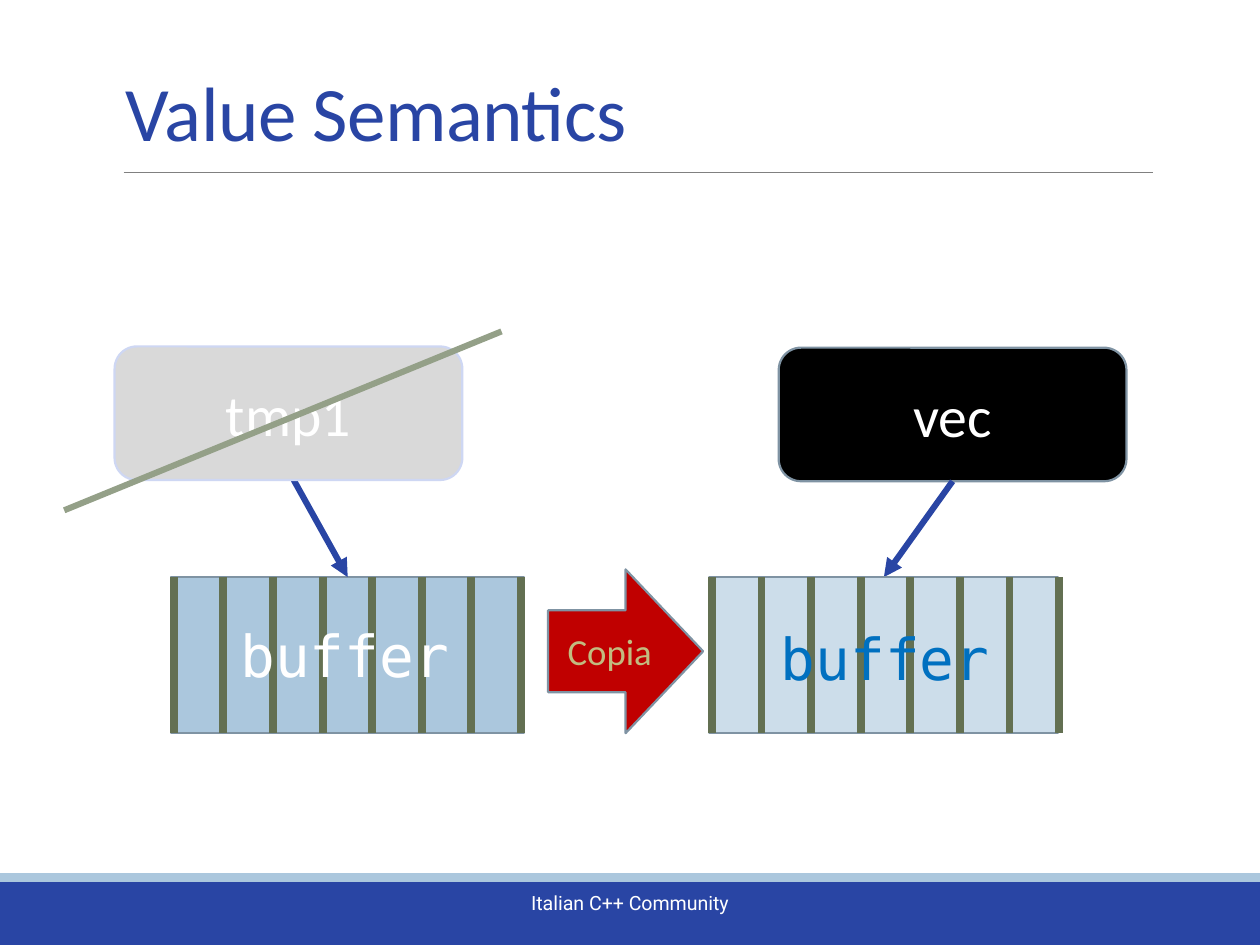
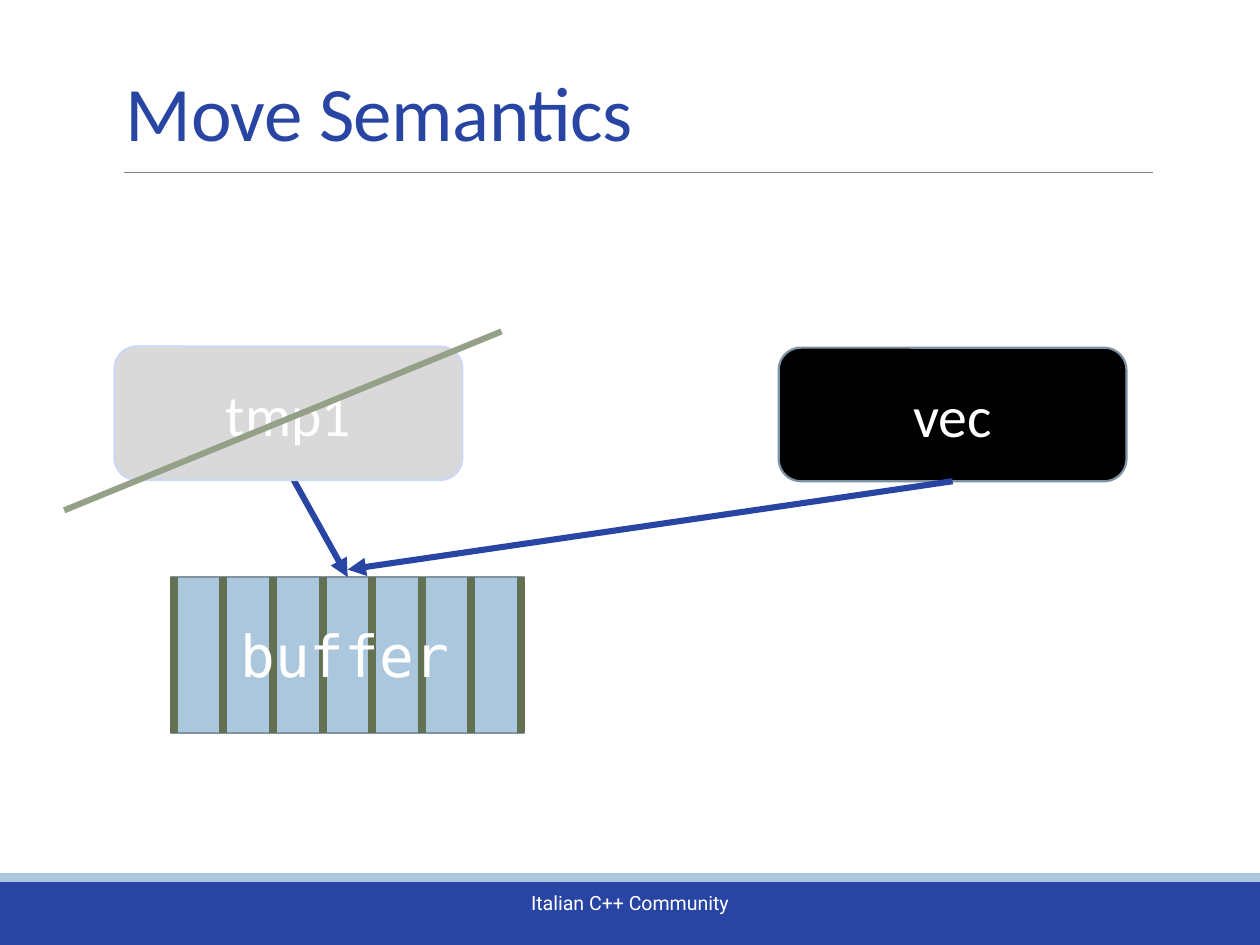
from lxml import etree
from pptx import Presentation
from pptx import util as u
from pptx.dml.color import RGBColor
from pptx.enum import shapes, text
from pptx.oxml import ns

BLUE = RGBColor(0x29, 0x45, 0xA4)
LIGHT_BLUE = RGBColor(0xAB, 0xC7, 0xDD)
PALE_BLUE = RGBColor(0xCC, 0xDD, 0xEA)
LABEL_BLUE = RGBColor(0x00, 0x70, 0xC0)
OUTLINE = RGBColor(0x7F, 0x93, 0xA3)
FADED_OUTLINE = RGBColor(0xCE, 0xD7, 0xF3)
FADED_GRAY = RGBColor(0xD9, 0xD9, 0xD9)
RULE_GRAY = RGBColor(0x80, 0x80, 0x80)
STRIPE_GREEN = RGBColor(0x63, 0x70, 0x52)
STRIKE_GREEN = RGBColor(0x94, 0xA0, 0x88)
RED = RGBColor(0xC0, 0x00, 0x00)
SAND = RGBColor(0xC2, 0xBC, 0x80)
BLACK = RGBColor(0x00, 0x00, 0x00)
WHITE = RGBColor(0xFF, 0xFF, 0xFF)

WIDTH, HEIGHT = 720, 540
TITLE_FONT = {"name": "Calibri", "size": u.Pt(44)}
OBJECT_FONT = {"name": "Calibri", "size": u.Pt(33)}
COPY_FONT = {"name": "Calibri", "size": u.Pt(21)}
BUFFER_FONT = {"name": "DejaVu Sans Mono", "size": u.Pt(33)}
FOOTER_FONT = {"name": "Roboto", "size": u.Pt(11.2)}

# Boxes are (left, top, width, height) in points.
TITLE_BOX = (64.8, 10.8, 594, 82.8)
FOOTER_BOX = (0, 504, WIDTH, 36)
TEMPORARY_BOX = (65.5, 198, 198.7, 76.3)
VECTOR_BOX = (445, 198.7, 198.7, 76.3)
SOURCE_BUFFER_BOX = (97.9, 329.8, 201.6, 89.3)
COPY_BUFFER_BOX = (405.4, 329.8, 199.4, 89.3)
COPY_ARROW_BOX = (313.2, 325.4, 88.6, 93.6)
STRIPE_COUNT, STRIPE_INSET, STRIPE_PITCH = 8, 1.4, 28.35


def apply(target, values):
    for name, value in values.items():
        setattr(target, name, value)


def points(values):
    return [u.Pt(value) for value in values]


def write(shape, wording, font, color, align=text.PP_ALIGN.CENTER,
          anchor=text.MSO_ANCHOR.MIDDLE):
    """Put one formatted run into the shape and return its paragraph."""
    apply(shape.text_frame, {"word_wrap": True, "vertical_anchor": anchor})
    paragraph = shape.text_frame.paragraphs[0]
    paragraph.alignment = align
    run = paragraph.add_run()
    run.text = wording
    apply(run.font, font)
    run.font.color.rgb = color
    return paragraph


def add_label(slide, box, wording, font, color, **layout):
    label = slide.shapes.add_textbox(*points(box))
    return write(label, wording, font, color, **layout)


def add_block(slide, kind, box, fill, outline=None):
    shape = slide.shapes.add_shape(kind, *points(box))
    shape.shadow.inherit = False
    shape.fill.solid()
    shape.fill.fore_color.rgb = fill
    if outline is None:
        shape.line.fill.background()
    else:
        shape.line.color.rgb = outline
        shape.line.width = u.Pt(1.25)
    return shape


def add_line(slide, start, end, color, width, arrow=False):
    line = slide.shapes.add_connector(
        shapes.MSO_CONNECTOR.STRAIGHT, *points((*start, *end)))
    line.line.color.rgb = color
    line.line.width = u.Pt(width)
    properties = line._element.spPr
    if arrow:
        outline = properties.find(ns.qn("a:ln"))
        etree.SubElement(outline, ns.qn("a:tailEnd"), type="triangle")
    etree.SubElement(properties, ns.qn("a:effectLst"))
    return line


def add_title(slide, box, wording):
    left, top, width, height = box
    paragraph = add_label(slide, box, wording, TITLE_FONT, BLUE,
                          align=text.PP_ALIGN.LEFT,
                          anchor=text.MSO_ANCHOR.BOTTOM)
    paragraph.line_spacing = 0.85
    paragraph.runs[0].font._element.set("spc", "-30")
    rule_y = top + height + 5
    add_line(slide, (left + 5.8, rule_y), (left + width, rule_y),
             RULE_GRAY, 0.5)


def add_footer(slide, box):
    left, top, width, height = box
    rectangle = shapes.MSO_SHAPE.RECTANGLE
    add_block(slide, rectangle, box, BLUE)
    add_block(slide, rectangle, (left, top - 5, width, 5), LIGHT_BLUE)
    add_label(slide, (left, top + 1.4, width, 21), "Italian C++ Community",
              FOOTER_FONT, WHITE, anchor=text.MSO_ANCHOR.TOP)


def add_object(slide, box, name, fill, outline):
    shape = add_block(slide, shapes.MSO_SHAPE.ROUNDED_RECTANGLE, box,
                      fill, outline)
    write(shape, name, OBJECT_FONT, WHITE)
    return shape


def add_buffer(slide, box, fill, label_color, label_offset):
    """Draw a striped memory block and return its rectangle."""
    left, top, width, height = box
    block = add_block(slide, shapes.MSO_SHAPE.RECTANGLE, box, fill, OUTLINE)
    for index in range(STRIPE_COUNT):
        x = left + STRIPE_INSET + index * STRIPE_PITCH
        add_line(slide, (x, top), (x, top + height), STRIPE_GREEN, 4.5)
    shift_x, shift_y = label_offset
    add_label(slide, (left + shift_x, top + shift_y, 200.9, 47.5), "buffer",
              BUFFER_FONT, label_color, anchor=text.MSO_ANCHOR.TOP)
    return block


def add_pointer(slide, start, end):
    return add_line(slide, start, end, BLUE, 3.5, arrow=True)


def add_destroyed_temporary(slide, box, buffer):
    """Draw the struck-out temporary and its pointer to the buffer."""
    left, top, width, height = box
    start = (left + width / 2 + 3, top + height)
    add_pointer(slide, start, start).end_connect(buffer, 0)
    add_object(slide, box, "tmp1", FADED_GRAY, FADED_OUTLINE)
    add_line(slide, (left + width + 22.4, top - 8.6),
             (left - 28.8, top + height + 17.3), STRIKE_GREEN, 3.5)


def add_copy_arrow(slide, box):
    arrow = add_block(slide, shapes.MSO_SHAPE.RIGHT_ARROW, box, RED, OUTLINE)
    write(arrow, "Copia", COPY_FONT, SAND, align=text.PP_ALIGN.RIGHT)


def add_semantics_slide(presentation, title, copies):
    """Show vec pointing to its own copy, or to the buffer it took over."""
    slide = presentation.slides.add_slide(presentation.slide_layouts[6])
    add_footer(slide, FOOTER_BOX)
    add_title(slide, TITLE_BOX, title)
    vector = add_object(slide, VECTOR_BOX, "vec", BLACK, OUTLINE)
    source = add_buffer(slide, SOURCE_BUFFER_BOX, LIGHT_BLUE, WHITE,
                        (-1.4, 20.9))
    left, top, width, height = SOURCE_BUFFER_BOX
    target = (left + width / 2, top - 4.3)
    pointer = add_pointer(slide, target, target)
    pointer.begin_connect(vector, 2)
    if copies:
        copy_buffer = add_buffer(slide, COPY_BUFFER_BOX, PALE_BLUE,
                                 LABEL_BLUE, (0, 22.3))
        pointer.end_connect(copy_buffer, 0)
        add_copy_arrow(slide, COPY_ARROW_BOX)
    add_destroyed_temporary(slide, TEMPORARY_BOX, source)


def main():
    presentation = Presentation()
    apply(presentation, {"slide_width": u.Pt(WIDTH),
                         "slide_height": u.Pt(HEIGHT)})
    add_semantics_slide(presentation, "Value Semantics", copies=True)
    add_semantics_slide(presentation, "Move Semantics", copies=False)
    presentation.save("out.pptx")


if __name__ == "__main__":
    main()
